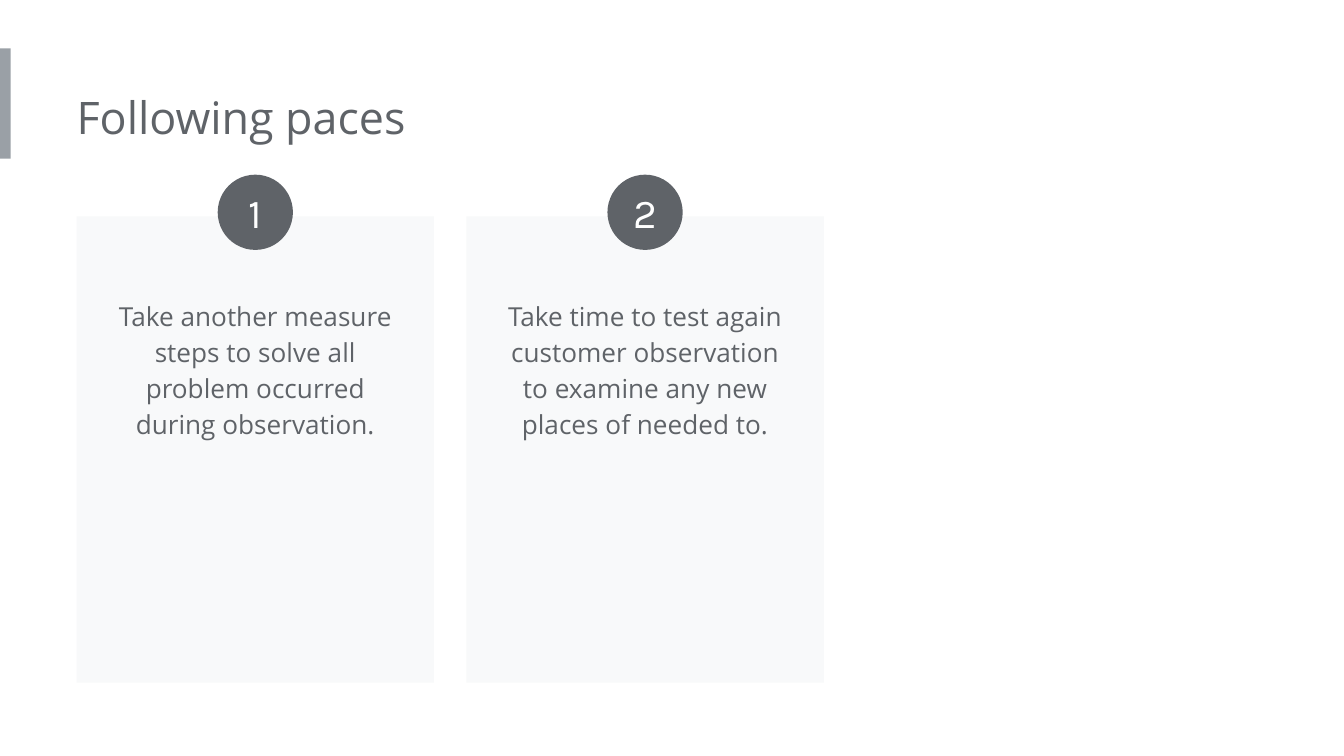
import pptx
import pptx.dml.color
import pptx.enum.shapes
import pptx.enum.text
import pptx.util

Inches = pptx.util.Inches
SHAPES = pptx.enum.shapes.MSO_SHAPE
ALIGN = pptx.enum.text.PP_ALIGN
ANCHOR = pptx.enum.text.MSO_ANCHOR
GROW = pptx.enum.text.MSO_AUTO_SIZE.SHAPE_TO_FIT_TEXT

TITLE = "Following paces"
STEPS = [
    ("Take another measure steps to solve all problem occurred during observation.", 1.56),
    ("Take time to test again customer observation to examine any new places of needed to.", 1.76),
]

COLORS = {"accent": "9AA0A6", "card": "F8F9FA", "dark": "5F6368", "white": "FFFFFF"}
TITLE_FONT = {"name": "Open Sans", "size": pptx.util.Pt(24)}
BODY_FONT = {"name": "Open Sans", "size": pptx.util.Pt(14)}
NUMBER_FONT = {"name": "Karla", "size": pptx.util.Pt(22)}

SLIDE_WIDTH = 10
SLIDE_HEIGHT = SLIDE_WIDTH * 9 / 16
LEFT, CARD_TOP, CARD_WIDTH, CARD_HEIGHT, GAP = 0.57, 1.61, 2.66, 3.47, 0.24
TEXT_TOP, TEXT_WIDTH = 2.1, 2.24
BADGE_TOP, BADGE_SIZE = 1.3, 0.56


def color(name):
    return pptx.dml.color.RGBColor.from_string(COLORS[name])


def add_filled(slide, kind, box, fill):
    shape = slide.shapes.add_shape(kind, *map(Inches, box))
    shape.shadow.inherit = False
    shape.fill.solid()
    shape.fill.fore_color.rgb = color(fill)
    shape.line.fill.background()
    return shape


def write(shape, text, font, font_color, margins, frame_format, paragraph_format):
    """Fill a shape with one paragraph; margins run left, top, right, bottom."""
    frame = shape.text_frame
    paragraph = frame.paragraphs[0]
    run = paragraph.add_run()
    run.text = text
    run.font.color.rgb = color(font_color)
    sides = ("margin_left", "margin_top", "margin_right", "margin_bottom")
    margin_format = dict(zip(sides, map(Inches, margins)))
    for target, values in (
        (frame, {"word_wrap": True, **margin_format, **frame_format}),
        (paragraph, paragraph_format),
        (run.font, font),
    ):
        for name, value in values.items():
            setattr(target, name, value)


def main():
    presentation = pptx.Presentation()
    presentation.slide_width = Inches(SLIDE_WIDTH)
    presentation.slide_height = Inches(SLIDE_HEIGHT)
    slide = presentation.slides.add_slide(presentation.slide_layouts[6])

    add_filled(slide, SHAPES.RECTANGLE, (0, 0.36, 0.08, 0.82), "accent")
    title = slide.shapes.add_textbox(*map(Inches, (LEFT, 0.57, 5.39, 0.61)))
    write(title, TITLE, TITLE_FONT, "dark", (0, 0.1, 0.1, 0.1),
          {"auto_size": GROW}, {"alignment": ALIGN.LEFT})

    for index, (text, text_height) in enumerate(STEPS):
        left = LEFT + index * (CARD_WIDTH + GAP)
        center = left + CARD_WIDTH / 2
        add_filled(slide, SHAPES.RECTANGLE, (left, CARD_TOP, CARD_WIDTH, CARD_HEIGHT), "card")

        text_box = (center - TEXT_WIDTH / 2, TEXT_TOP, TEXT_WIDTH, text_height)
        body = slide.shapes.add_textbox(*map(Inches, text_box))
        write(body, text, BODY_FONT, "dark", (0.1,) * 4, {"auto_size": GROW},
              {"alignment": ALIGN.CENTER, "line_spacing": 1.15})

        badge_box = (center - BADGE_SIZE / 2, BADGE_TOP, BADGE_SIZE, BADGE_SIZE)
        badge = add_filled(slide, SHAPES.OVAL, badge_box, "dark")
        write(badge, str(index + 1), NUMBER_FONT, "white", (0,) * 4,
              {"vertical_anchor": ANCHOR.MIDDLE}, {"alignment": ALIGN.CENTER})

    presentation.save("out.pptx")


if __name__ == "__main__":
    main()
